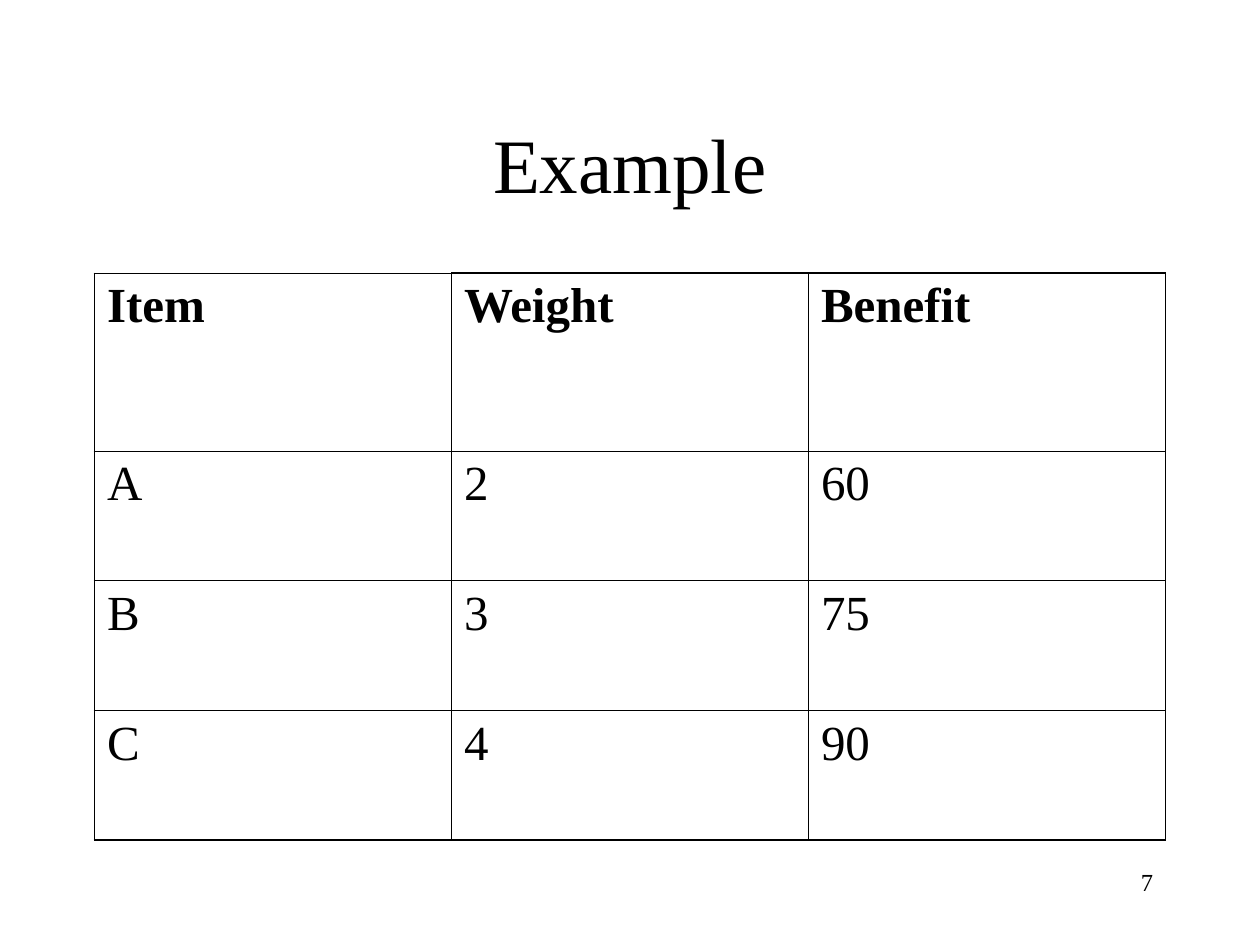
from dataclasses import dataclass

from lxml import etree
from pptx import Presentation
from pptx.dml.color import RGBColor
from pptx.enum.text import MSO_ANCHOR, PP_ALIGN
from pptx.oxml.ns import qn
from pptx.util import Pt

LEFT, CENTER, RIGHT = PP_ALIGN.LEFT, PP_ALIGN.CENTER, PP_ALIGN.RIGHT
TOP, MIDDLE = MSO_ANCHOR.TOP, MSO_ANCHOR.MIDDLE

FONT = "Times New Roman"
BLACK, WHITE = "000000", "FFFFFF"
THIN, THICK = 0.45, 1.08
TITLE_ONLY = 5


@dataclass
class Item:
    name: str
    weight: int
    benefit: int


HEADERS = ("Item", "Weight", "Benefit")
ITEMS = [Item("A", 2, 60), Item("B", 3, 75), Item("C", 4, 90)]
HEADER_HEIGHT, ITEM_HEIGHT = 101.7, 74.1


def color(value: str) -> RGBColor:
    return RGBColor.from_string(value)


def write(frame, text: str, *, size: float, bold: bool = False,
          align=LEFT, anchor=TOP, before: float = 0) -> None:
    """Put one formatted paragraph into a text frame."""
    frame.word_wrap = True
    frame.vertical_anchor = anchor
    para = frame.paragraphs[0]
    para.alignment = align
    para.space_before = Pt(before)
    span = para.add_run()
    span.text = text
    span.font.name = FONT
    span.font.size = Pt(size)
    span.font.bold = bold
    span.font.color.rgb = color(BLACK)


def add_border(cell, side: str, width: float) -> None:
    """Draw one side (L, R, T or B) of a cell; call in that order."""
    line = etree.SubElement(cell._tc.get_or_add_tcPr(), qn(f"a:ln{side}"),
                            w=str(int(Pt(width))))
    fill = etree.SubElement(line, qn("a:solidFill"))
    etree.SubElement(fill, qn("a:srgbClr"), val=BLACK)


def add_item_table(page, items: list[Item]) -> None:
    rows = [HEADERS] + [(i.name, i.weight, i.benefit) for i in items]
    last_row, last_column = len(rows) - 1, len(HEADERS) - 1
    height = HEADER_HEIGHT + ITEM_HEIGHT * len(items)
    table = page.shapes.add_table(len(rows), len(HEADERS), Pt(54), Pt(156),
                                  Pt(612), Pt(height)).table
    table.first_row = table.horz_banding = False

    for r, values in enumerate(rows):
        table.rows[r].height = Pt(ITEM_HEIGHT if r else HEADER_HEIGHT)
        for c, value in enumerate(values):
            cell = table.cell(r, c)
            # Outer edges are thick, except above the first header
            thick_sides = {"L": c == 0, "R": c == last_column,
                           "T": r == 0 and c > 0, "B": r == last_row}
            for side, thick in thick_sides.items():
                add_border(cell, side, THICK if thick else THIN)
            cell.fill.solid()
            cell.fill.fore_color.rgb = color(WHITE)
            write(cell.text_frame, str(value), size=28, bold=r == 0, before=7)


def main() -> None:
    deck = Presentation()
    deck.slide_width, deck.slide_height = Pt(720), Pt(540)
    page = deck.slides.add_slide(deck.slide_layouts[TITLE_ONLY])

    # Title
    title = page.shapes.title
    title.left, title.top, title.width, title.height = (
        Pt(54), Pt(48), Pt(612), Pt(90))
    write(title.text_frame, "Example", size=44, align=CENTER, anchor=MIDDLE)

    # Weights and benefits
    add_item_table(page, ITEMS)

    # Page number
    box = page.shapes.add_textbox(Pt(516), Pt(492), Pt(150), Pt(36))
    write(box.text_frame, "7", size=14, align=RIGHT)

    deck.save("out.pptx")


if __name__ == "__main__":
    main()
